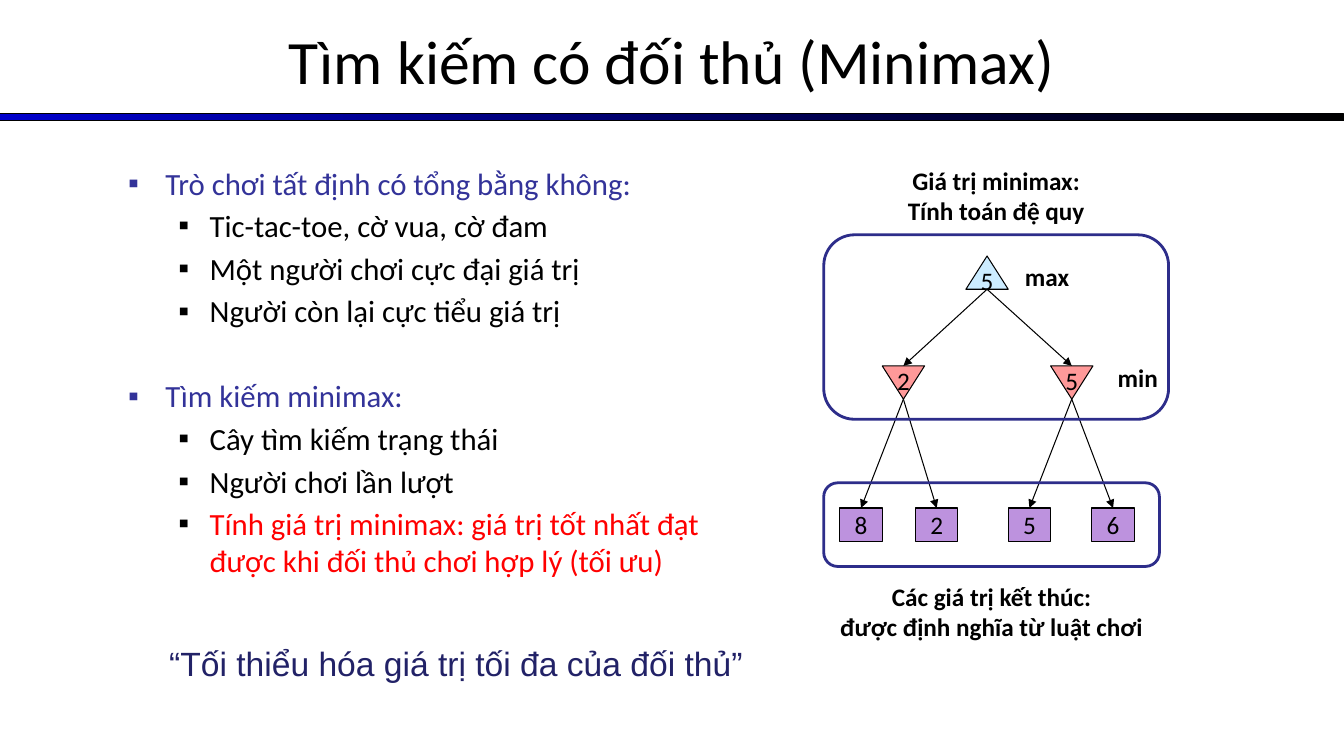
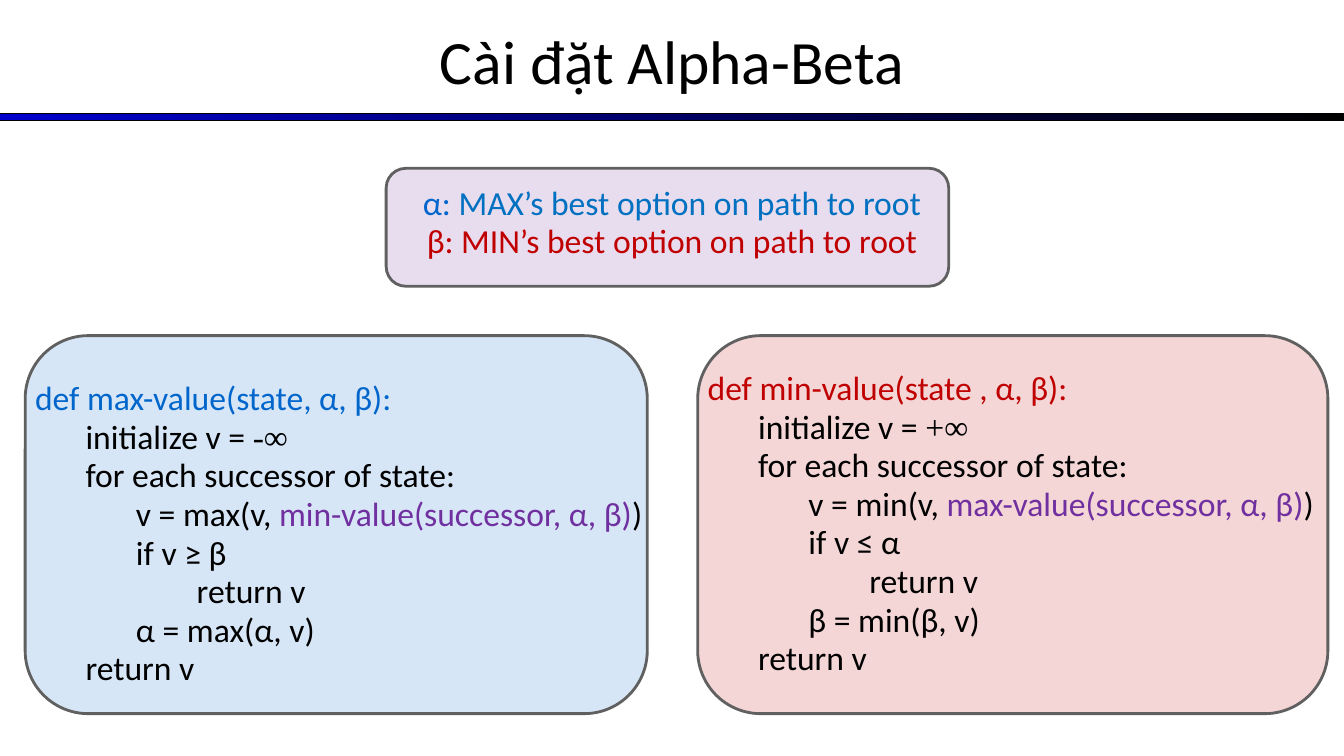
from dataclasses import dataclass

from lxml.etree import SubElement
from pptx import Presentation
from pptx.dml.color import RGBColor
from pptx.enum.shapes import MSO_CONNECTOR as Connector, MSO_SHAPE as Shape
from pptx.enum.text import MSO_ANCHOR as Anchor, MSO_AUTO_SIZE as AutoSize, PP_ALIGN as Align
from pptx.oxml.ns import qn
from pptx.util import Inches, Pt

COLORS = {
    "black": "000000", "band": "0000CC", "heading": "333399", "red": "FF0000",
    "quote": "222267", "frame": "2D2D8A", "max": "CCECFF", "min": "FF9999",
    "leaf": "BD92DE", "edge": "606060", "blue": "0066CC", "sky": "0070C0",
    "crimson": "C00000", "violet": "7030A0",
}
SLIDE_WIDTH = 13.33
NODE_WIDTH, NODE_HEIGHT = 0.42, 0.33


@dataclass(frozen=True)
class Box:
    left: float
    top: float
    width: float
    height: float

    def lengths(self):
        return tuple(Inches(v) for v in (self.left, self.top, self.width, self.height))


@dataclass(frozen=True)
class Bullet:
    text: str
    level: int = 1
    color: str = "black"
    before: float = 4


@dataclass(frozen=True)
class Span:
    text: str
    color: str = "black"
    font: str = "Calibri"


@dataclass(frozen=True)
class CodeLine:
    level: int
    spans: tuple


@dataclass(frozen=True)
class TreeNode:
    value: str
    left: float
    top: float
    leaves: tuple = ()

    @property
    def middle(self) -> float:
        return self.left + NODE_WIDTH / 2

    @property
    def bottom(self) -> float:
        return self.top + NODE_HEIGHT


def rgb(name: str) -> RGBColor:
    return RGBColor.from_string(COLORS[name])


def style(paragraph, size: float, color: str = "black", bold: bool = False,
          font: str = "Calibri") -> None:
    paragraph.font.size = Pt(size)
    paragraph.font.name = font
    paragraph.font.bold = bold
    paragraph.font.color.rgb = rgb(color)


def indent(paragraph, left: float, hanging: float = 0, bullet_color: str = "") -> None:
    """Set the margins and a square bullet, or no bullet without a colour."""
    props = paragraph._p.get_or_add_pPr()
    props.set("marL", str(Inches(left)))
    props.set("indent", str(-Inches(hanging)))
    if bullet_color:
        tint = SubElement(props, qn("a:buClr"))
        SubElement(tint, qn("a:srgbClr")).set("val", COLORS[bullet_color])
        SubElement(props, qn("a:buFont")).set("typeface", "Arial")
        SubElement(props, qn("a:buChar")).set("char", "▪")
    else:
        SubElement(props, qn("a:buNone"))


def place(placeholder, box: Box):
    placeholder.left, placeholder.top, placeholder.width, placeholder.height = box.lengths()
    frame = placeholder.text_frame
    frame.auto_size = AutoSize.NONE
    frame.word_wrap = True
    return frame


def add_paragraph(frame, index: int):
    return frame.add_paragraph() if index else frame.paragraphs[0]


def add_figure(slide, kind, box: Box, fill: str = "", line: str = "black",
               weight: float = 0.75, alpha: int = 100):
    figure = slide.shapes.add_shape(kind, *box.lengths())
    figure.shadow.inherit = False
    figure.line.color.rgb = rgb(line)
    figure.line.width = Pt(weight)
    if fill:
        figure.fill.solid()
        figure.fill.fore_color.rgb = rgb(fill)
    else:
        figure.fill.background()
    if alpha < 100:
        tint = figure._element.spPr.find(qn("a:solidFill")).find(qn("a:srgbClr"))
        SubElement(tint, qn("a:alpha")).set("val", str(alpha * 1000))
    return figure


def write(frame, text: str, size: float = 18, color: str = "black", bold: bool = False,
          font: str = "Calibri", wrap: bool = True, align=Align.CENTER) -> None:
    frame.word_wrap = wrap
    frame.vertical_anchor = Anchor.MIDDLE
    paragraph = frame.paragraphs[0]
    paragraph.text = text
    paragraph.alignment = align
    style(paragraph, size, color, bold, font)


def add_label(slide, box: Box, text: str, **looks) -> None:
    write(slide.shapes.add_textbox(*box.lengths()).text_frame, text, **looks)


def add_arrow(slide, start: tuple, end: tuple):
    arrow = slide.shapes.add_connector(Connector.STRAIGHT, *(Inches(v) for v in start + end))
    arrow.line.color.rgb = rgb("black")
    arrow.line.width = Pt(0.75)
    SubElement(arrow.line._get_or_add_ln(), qn("a:tailEnd")).set("type", "triangle")
    SubElement(arrow._element.spPr, qn("a:effectLst"))
    return arrow


def add_titled_slide(deck, title: str):
    slide = deck.slides.add_slide(deck.slide_layouts[1])
    band = add_figure(slide, Shape.RECTANGLE, Box(0, 1.13, SLIDE_WIDTH, 0.07))
    band.fill.gradient()
    band.fill.gradient_angle = 0
    for stop, color in zip(band.fill.gradient_stops, ("band", "black")):
        stop.color.rgb = rgb(color)
    write(place(slide.shapes.title, Box(0, -0.03, SLIDE_WIDTH, 1.25)), title, size=44)
    return slide


def add_triangle(slide, node: TreeNode, fill: str, value_shift: float, rotation: int = 0) -> None:
    """Draw a player's node; its value stays upright when the triangle is turned."""
    triangle = add_figure(slide, Shape.ISOSCELES_TRIANGLE,
                          Box(node.left, node.top, NODE_WIDTH, NODE_HEIGHT), fill)
    triangle.rotation = rotation
    add_label(slide, Box(node.left, node.top + value_shift, NODE_WIDTH, 0.4),
              node.value, wrap=False)


def add_leaf(slide, node: TreeNode):
    leaf = add_figure(slide, Shape.RECTANGLE,
                      Box(node.left, node.top, NODE_WIDTH, NODE_HEIGHT), "leaf")
    write(leaf.text_frame, node.value, wrap=False)
    return leaf


def add_game_tree(slide) -> None:
    leaf_top = 5.04
    root = TreeNode("5", 9.58, 2.54)
    replies = (
        TreeNode("2", 8.75, 3.63, (TreeNode("8", 8.33, leaf_top), TreeNode("2", 9.08, leaf_top))),
        TreeNode("5", 10.42, 3.63, (TreeNode("5", 10, leaf_top), TreeNode("6", 10.83, leaf_top))),
    )
    add_triangle(slide, root, "max", 0.04)
    for reply in replies:
        add_triangle(slide, reply, "min", -0.06, rotation=180)
        add_arrow(slide, (root.middle, root.bottom), (reply.middle, reply.top))
        for node in reply.leaves:
            leaf = add_leaf(slide, node)
            arrow = add_arrow(slide, (reply.middle, reply.bottom), (node.middle, node.top))
            arrow.end_connect(leaf, 0)

    for frame in (Box(8.17, 2.33, 3.42, 1.83), Box(8.17, 4.79, 3.33, 0.83)):
        add_figure(slide, Shape.ROUNDED_RECTANGLE, frame, line="frame", weight=2)
    for box, text in (
        (Box(10.02, 2.54, 0.73, 0.4), "max"),
        (Box(10.92, 3.54, 0.73, 0.4), "min"),
        (Box(8.17, 1.58, 3.42, 0.71), "Giá trị minimax:\vTính toán đệ quy"),
        (Box(8.17, 5.71, 3.33, 0.71), "Các giá trị kết thúc:\vđược định nghĩa từ luật chơi"),
    ):
        add_label(slide, box, text, bold=True)


def build_minimax(deck) -> None:
    slide = add_titled_slide(deck, "Tìm kiếm có đối thủ (Minimax)")
    bullets = (
        Bullet("Trò chơi tất định có tổng bằng không:", 0, "heading", 0),
        Bullet("Tic-tac-toe, cờ vua, cờ đam"),
        Bullet("Một người chơi cực đại giá trị"),
        Bullet("Người còn lại cực tiểu giá trị"),
        Bullet("Tìm kiếm minimax:", 0, "heading", 34.5),
        Bullet("Cây tìm kiếm trạng thái"),
        Bullet("Người chơi lần lượt"),
        Bullet("Tính giá trị minimax: giá trị tốt nhất đạt được khi đối thủ chơi hợp lý (tối ưu)",
               color="red"),
    )
    margins = ((0.37, 0.37), (0.81, 0.31))
    frame = place(slide.placeholders[1], Box(1.17, 1.58, 6, 4.95))
    for index, bullet in enumerate(bullets):
        paragraph = add_paragraph(frame, index)
        paragraph.text = bullet.text
        paragraph.level = bullet.level
        indent(paragraph, *margins[bullet.level], "black" if bullet.level else "heading")
        paragraph.space_before = Pt(bullet.before)
        style(paragraph, 22, bullet.color)
    add_game_tree(slide)
    add_label(slide, Box(1.58, 6.33, 5.96, 0.5), "“Tối thiểu hóa giá trị tối đa của đối thủ”",
              size=24, color="quote", font="Arial", wrap=False, align=Align.LEFT)


def write_spans(frame, lines: tuple, align=Align.LEFT) -> None:
    for index, line in enumerate(lines):
        paragraph = add_paragraph(frame, index)
        indent(paragraph, line.level * 0.5)
        paragraph.alignment = align
        paragraph.line_spacing = 0.8
        paragraph.space_before = Pt(4.5 if index else 0)
        style(paragraph, 24)
        for span in line.spans:
            run = paragraph.add_run()
            run.text = span.text
            run.font.name = span.font
            run.font.color.rgb = rgb(span.color)


def value_function(head: Span, start: str, call: str, other: str, test: str,
                   update: str) -> tuple:
    """Lines of one player's function; only these parts differ between the players."""
    return (
        CodeLine(0, (head,)),
        CodeLine(1, (Span("initialize v = "), Span(start, font="Times New Roman"))),
        CodeLine(1, (Span("for each successor of state:"),)),
        CodeLine(2, (Span(call), Span(other, "violet"), Span(")"))),
        CodeLine(2, (Span(test),)),
        CodeLine(2, (Span("        return v"),)),
        CodeLine(2, (Span(update),)),
        CodeLine(1, (Span("return v"),)),
    )


def build_alpha_beta(deck) -> None:
    slide = add_titled_slide(deck, "Cài đặt Alpha-Beta")
    max_value = value_function(
        Span("def max-value(state, α, β):", "blue"), "-∞", "v = max(v, ",
        "min-value(successor, α, β)", "if v ≥ β", "α = max(α, v)")
    min_value = value_function(
        Span("def min-value(state , α, β):", "crimson"), "+∞", "v = min(v, ",
        "max-value(successor, α, β)", "if v ≤ α", "β = min(β, v)")
    for panel, fill in (
        (Box(6.92, 3.33, 6.25, 3.75), "crimson"),
        (Box(0.25, 3.33, 6.17, 3.75), "blue"),
        (Box(3.83, 1.67, 5.58, 1.17), "violet"),
    ):
        add_figure(slide, Shape.ROUNDED_RECTANGLE, panel, fill, "edge", 2, alpha=16)
    for box, code in ((Box(6.92, 3.67, 6.41, 3.3), min_value),
                      (Box(0.25, 3.77, 6.42, 3.3), max_value)):
        frame = slide.shapes.add_textbox(*box.lengths()).text_frame
        frame.word_wrap = True
        write_spans(frame, code)

    legend = slide.placeholders[1]
    slide.shapes._spTree.append(legend._element)  # in front of its panel
    write_spans(place(legend, Box(0.5, 1.83, 12.33, 1)), (
        CodeLine(0, (Span("α: ", "blue"), Span("MAX’s best option on path to root", "sky"))),
        CodeLine(0, (Span("β: MIN’s best option on path to root", "crimson"),)),
    ), Align.CENTER)


def main() -> None:
    deck = Presentation()
    deck.slide_width, deck.slide_height = Inches(SLIDE_WIDTH), Inches(7.5)
    build_minimax(deck)
    build_alpha_beta(deck)
    deck.save("out.pptx")


if __name__ == "__main__":
    main()
